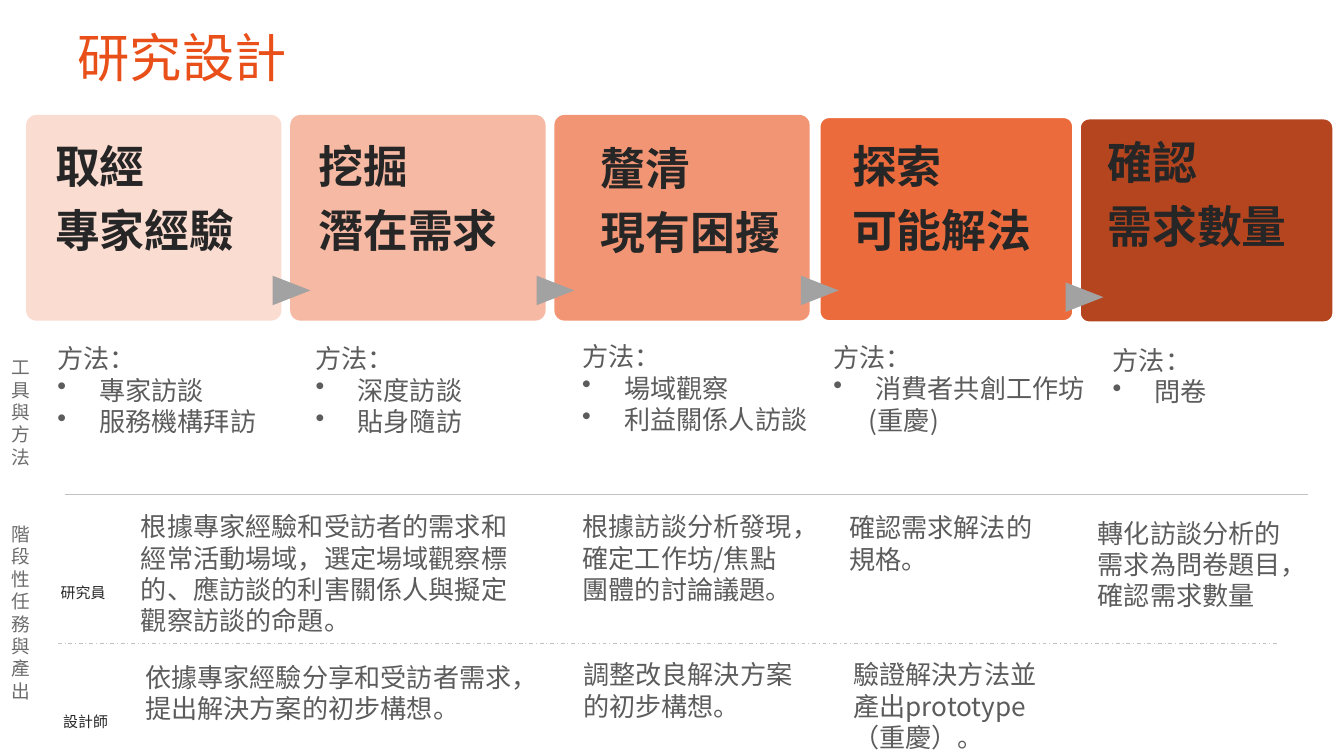
from lxml.etree import SubElement
from pptx import Presentation
from pptx.dml.color import RGBColor
from pptx.enum.dml import MSO_LINE
from pptx.enum.shapes import MSO_CONNECTOR as Link, MSO_SHAPE as Form
from pptx.enum.text import MSO_ANCHOR as Anchor
from pptx.oxml.ns import qn
from pptx.util import Pt

FONT = "Noto Sans CJK SC"
ORANGE = RGBColor(0xE9, 0x4F, 0x19)
RUST = RGBColor(0xB1, 0x3A, 0x11)
BLUSH = RGBColor(0xFB, 0xDC, 0xD1)
PEACH = RGBColor(0xF6, 0xB9, 0xA3)
CORAL = RGBColor(0xF2, 0x95, 0x75)
WHITE = RGBColor(0xFF, 0xFF, 0xFF)
INK = RGBColor(0x26, 0x26, 0x26)
GREY = RGBColor(0x5C, 0x5C, 0x5C)
SIDE = RGBColor(0x6C, 0x6C, 0x6C)
RULE = RGBColor(0xC2, 0xC2, 0xC2)
ARROW = RGBColor(0xA2, 0xA2, 0xA2)


class Board:
    """Holds the font and the slide, and adds elements in points."""

    def __init__(self, slide, font):
        self.slide, self.font = slide, font

    def text(self, lines, x, y, w, h, size=14, color=GREY, bold=False,
             pad=(7.2, 3.6, 7.2, 3.6), anchor=Anchor.TOP, space=None, after=0):
        """Add lines of text; "•" starts a bullet, ">" an indented line."""
        box = self.slide.shapes.add_textbox(Pt(x), Pt(y), Pt(w), Pt(h))
        frame = box.text_frame
        frame.word_wrap = True
        frame.vertical_anchor = anchor
        (frame.margin_left, frame.margin_top,
         frame.margin_right, frame.margin_bottom) = map(Pt, pad)
        for i, line in enumerate(lines):
            para = frame.add_paragraph() if i else frame.paragraphs[0]
            if space:
                para.line_spacing = space
            if after:
                para.space_after = Pt(after)
            if line[0] == "•":
                self.indent(para, 22.5, -22.5)
                SubElement(para._p.get_or_add_pPr(), qn("a:buChar"), char="•")
            elif line[0] == ">":
                self.indent(para, 19, 0)
            run = para.add_run()
            run.text = line.lstrip("•>")
            font = run.font
            font.name, font.size, font.bold = self.font, Pt(size), bold
            font.color.rgb = color
            SubElement(run._r.get_or_add_rPr(), qn("a:ea"), typeface=self.font)

    def indent(self, para, left, first):
        props = para._p.get_or_add_pPr()
        props.set("marL", str(Pt(left)))
        props.set("indent", str(Pt(first)))

    def shape(self, form, x, y, w, h, fill, alpha=100, edge=None):
        item = self.slide.shapes.add_shape(form, Pt(x), Pt(y), Pt(w), Pt(h))
        item.shadow.inherit = False
        item.fill.solid()
        item.fill.fore_color.rgb = fill
        if alpha < 100:
            tint = item.fill._xPr.find(".//" + qn("a:srgbClr"))
            SubElement(tint, qn("a:alpha"), val=str(alpha * 1000))
        if edge:
            item.line.color.rgb = edge
            item.line.width = Pt(2)
        else:
            item.line.fill.background()
        return item

    def card(self, x, y, fill, alpha, edge):
        item = self.shape(Form.ROUNDED_RECTANGLE, x, y, 136.8, 110.2,
                          fill, alpha, edge)
        item.adjustments[0] = 0.05

    def arrow(self, x, y):
        """Add a right-pointing triangle centred on x, y."""
        w, h = 15.8, 20.2
        item = self.shape(Form.FLOWCHART_EXTRACT, x - w / 2, y - h / 2,
                          w, h, ARROW)
        item.rotation = 90

    def rule(self, x, y, end, width, dash=None):
        line = self.slide.shapes.add_connector(
            Link.STRAIGHT, Pt(x), Pt(y), Pt(end), Pt(y))
        line.line.color.rgb = RULE
        line.line.width = Pt(width)
        if dash:
            line.line.dash_style = dash
        SubElement(line._element.spPr, qn("a:effectLst"))


# card: x, y, fill, alpha, edge
CARDS = [
    (14, 61.6, BLUSH, 100, None),
    (155.5, 61.6, PEACH, 100, None),
    (297, 61.6, CORAL, 100, None),
    (438.6, 62.3, ORANGE, 84, WHITE),
    (578, 63, RUST, 94, WHITE),
]
ARROWS = [(156.2, 155.6), (297.6, 155.6), (439.2, 155.6), (581, 159.2)]
HEADS = [
    (29.5, 73.4, ["取經", "專家經驗"]),
    (170.6, 73.4, ["挖掘", "潛在需求"]),
    (321.8, 74.2, ["釐清", "現有困擾"]),
    (456.5, 73.4, ["探索", "可能解法"]),
    (593.3, 71.3, ["確認", "需求數量"]),
]
TOOLS = [
    (23.6, 180, ["•專家訪談", "•服務機構拜訪"]),
    (162, 180, ["•深度訪談", "•貼身隨訪"]),
    (304.8, 178.9, ["•場域觀察", "•利益關係人訪談"]),
    (439.4, 179.2, ["•消費者共創工作坊", ">(重慶)"]),
    (589, 180.7, ["•問卷"]),
]
TASKS = [
    (68.4, 270, 222, "根據專家經驗和受訪者的需求和經常活動場域，選定場域觀察標的、"
     "應訪談的利害關係人與擬定觀察訪談的命題。"),
    (305, 270, 131, "根據訪談分析發現，確定工作坊/焦點團體的討論議題。"),
    (447.8, 270.5, 122.4, "確認需求解法的規格。"),
    (581, 273.4, 122.4, "轉化訪談分析的需求為問卷題目，確認需求數量"),
    (70.6, 350.6, 216.7, "依據專家經驗分享和受訪者需求，提出解決方案的初步構想。"),
    (305.3, 349.4, 128.2, "調整改良解決方案的初步構想。"),
    (450, 349.4, 125.3, "驗證解決方法並產出prototype（重慶）。"),
]


def main():
    deck = Presentation()
    deck.slide_width, deck.slide_height = Pt(720), Pt(405)
    board = Board(deck.slides.add_slide(deck.slide_layouts[6]), FONT)

    board.text(["研究設計"], 34.6, 10.8, 535.7, 38.9, size=28, color=ORANGE,
               anchor=Anchor.MIDDLE)
    for card in CARDS:
        board.card(*card)
    for spot in ARROWS:
        board.arrow(*spot)
    for x, y, lines in HEADS:
        board.text(lines, x, y, 126, 110.2, size=24, color=INK, bold=True,
                   pad=(0, 4.3, 0, 0), space=0.9, after=8.4)
    for x, y, lines in TOOLS:
        board.text(["方法："] + lines, x, y, min(188, 720 - x), 58.3)

    board.rule(34.6, 265, 700.6, 0.75)
    board.rule(31, 344.5, 685.6, 0.5, MSO_LINE.DASH_DOT)
    board.text(["工具", "與", "方法"], -0.7, 187.2, 28, 67.7, size=10, color=SIDE)
    board.text(["階段性任務與產出"], -0.7, 276.5, 28, 104.4, size=10, color=SIDE)
    board.text(["研究員"], 25.4, 309, 64.8, 17.3, size=8, color=INK)
    board.text(["設計師"], 26.8, 378.4, 64.8, 17.3, size=8, color=INK)
    for x, y, w, task in TASKS:
        board.text([task], x, y, w, 58.3)

    deck.save("out.pptx")


if __name__ == "__main__":
    main()
